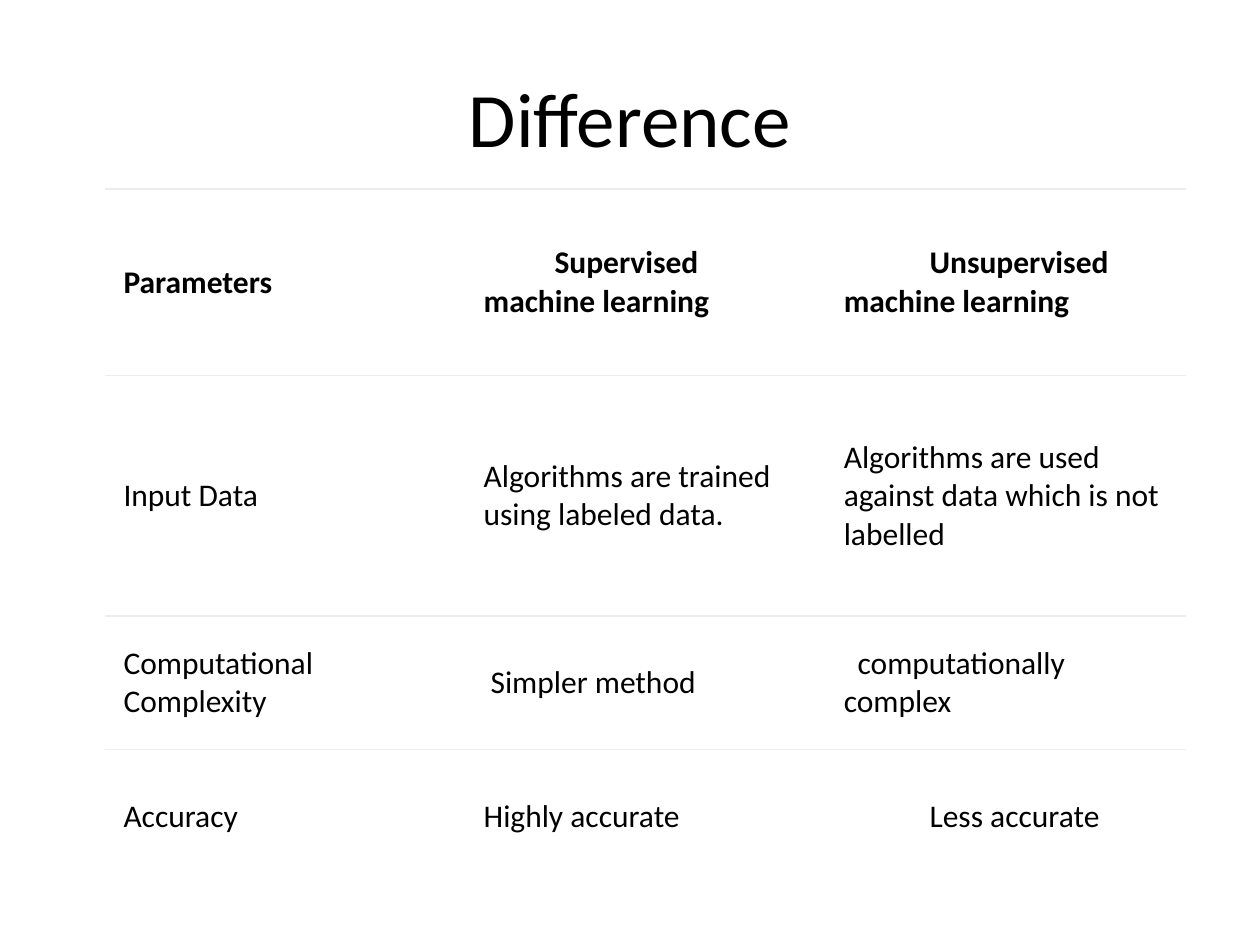
from dataclasses import dataclass

import pptx
import pptx.util
import pptx.dml.color
import pptx.enum.text
import pptx.oxml
import pptx.oxml.ns

Cm, Pt = pptx.util.Cm, pptx.util.Pt
BLACK = pptx.dml.color.RGBColor(0, 0, 0)
RULE = pptx.dml.color.RGBColor(0xED, 0xED, 0xED)
FONT = "Calibri"


@dataclass
class Entry:
    text: str
    indent: float = 0  # first line, in cm


@dataclass
class Row:
    height: float  # in cm
    cells: list[Entry]
    bold: bool = False


ROWS = [
    Row(3.76, [Entry("Parameters"),
               Entry("Supervised machine learning", 1.43),
               Entry("Unsupervised machine learning", 1.73)], True),
    Row(4.85, [Entry("Input Data"),
               Entry("Algorithms are trained using labeled data."),
               Entry("Algorithms are used against data which is not labelled")]),
    Row(2.69, [Entry("Computational Complexity"),
               Entry("Simpler method", 0.14),
               Entry("computationally complex", 0.28)]),
    Row(2.69, [Entry("Accuracy"),
               Entry("Highly accurate"),
               Entry("Less accurate", 1.73)]),
]


def style(para, size: float, bold: bool = False) -> None:
    font = para.font
    font.name, font.size, font.bold = FONT, Pt(size), bold
    font.color.rgb = BLACK


def border(cell, sides: str) -> None:
    """Rule the given sides and clear the others."""
    props = cell._tc.get_or_add_tcPr()
    space = pptx.oxml.ns.nsdecls("a")
    for side in "LRTB":
        fill = (f'<a:solidFill><a:srgbClr val="{RULE}"/></a:solidFill>'
                if side in sides else "<a:noFill/>")
        props.append(pptx.oxml.parse_xml(
            f'<a:ln{side} {space} w="{Pt(0.75)}">{fill}</a:ln{side}>'))


def write(cell, entry: Entry, bold: bool, sides: str) -> None:
    border(cell, sides)
    cell.fill.background()
    cell.vertical_anchor = pptx.enum.text.MSO_ANCHOR.MIDDLE
    cell.margin_left = cell.margin_right = Cm(0.37)
    cell.margin_top = cell.margin_bottom = Cm(0.18)
    cell.text = entry.text
    para = cell.text_frame.paragraphs[0]
    if entry.indent:
        props = para._p.get_or_add_pPr()
        props.set("marL", "0")
        props.set("indent", str(Cm(entry.indent)))
    style(para, 18, bold)


def main() -> None:
    deck = pptx.Presentation()
    deck.slide_width, deck.slide_height = Cm(25.4), Cm(19.05)
    slide = deck.slides.add_slide(deck.slide_layouts[5])

    # Title
    title = slide.shapes.title
    title.left, title.top = Cm(1.27), Cm(0.76)
    title.width, title.height = Cm(22.86), Cm(3.18)
    title.text_frame.text = "Difference"
    head = title.text_frame.paragraphs[0]
    head.alignment = pptx.enum.text.PP_ALIGN.CENTER
    style(head, 44)

    # Comparison table, ruled above every row
    tall = sum(row.height for row in ROWS)
    table = slide.shapes.add_table(len(ROWS), 3, Cm(2.12), Cm(3.81),
                                   Cm(21.78), Cm(tall)).table
    table.first_row = table.horz_banding = False
    for col in table.columns:
        col.width = Cm(7.26)
    for i, row in enumerate(ROWS):
        table.rows[i].height = Cm(row.height)
        sides = "T" if row is ROWS[-1] else "TB"
        for j, entry in enumerate(row.cells):
            write(table.cell(i, j), entry, row.bold, sides)

    deck.save("out.pptx")


if __name__ == "__main__":
    main()
